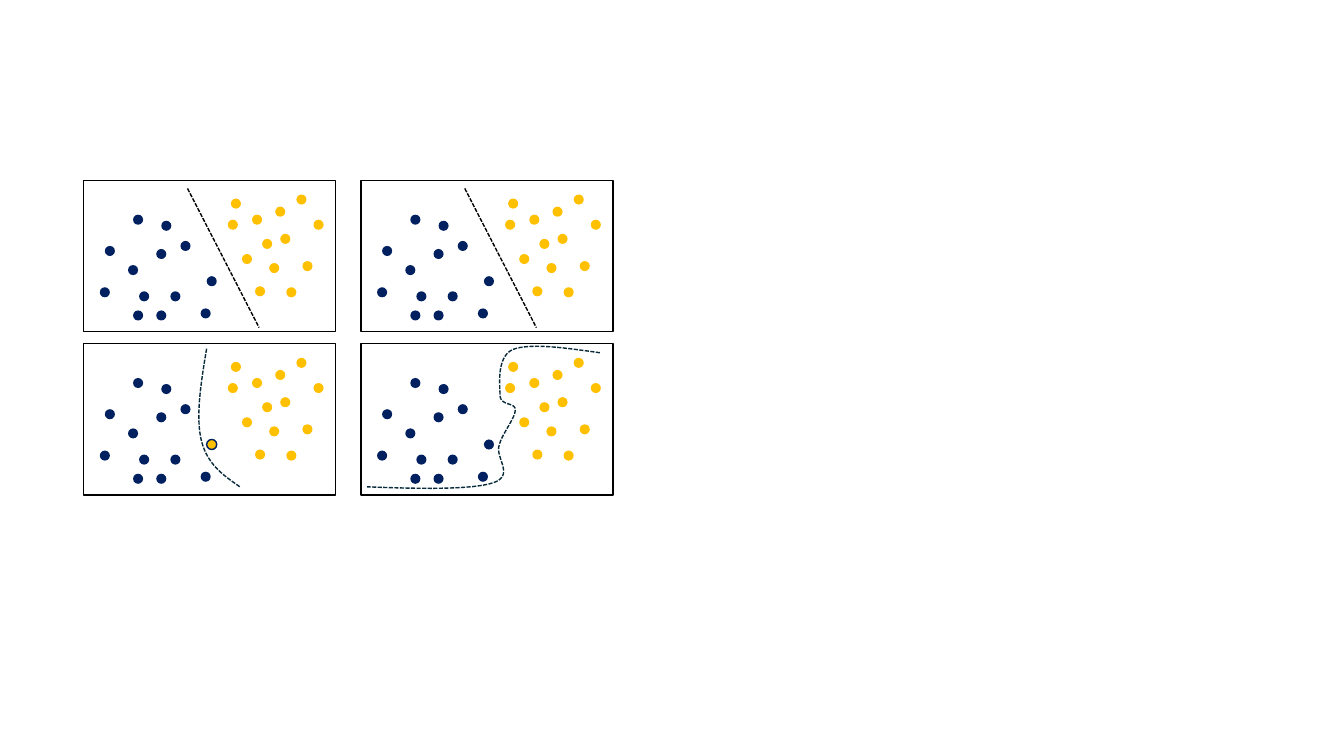
import pptx
import pptx.dml.color
import pptx.enum.dml
import pptx.enum.shapes
import pptx.oxml
import pptx.oxml.ns
import pptx.util

Inches = pptx.util.Inches
SHAPES = pptx.enum.shapes.MSO_SHAPE

NAVY, GOLD, BLACK, CURVE = "002060", "FFC000", "000000", "092A39"

# Panel grid
LEFT, TOP = 0.83, 1.79
STEP_X, STEP_Y = 2.75, 1.62
WIDTH, HEIGHT = 2.5, 1.5

# Dot corners, measured from the corner of a panel
OUTLIER = (1.22, 0.95)
NAVY_DOTS = [
    (0.44, 0.84), (0.77, 0.4), (0.49, 0.34), (0.72, 0.68), (0.21, 0.65),
    (0.16, 1.06), (0.55, 1.1), (0.49, 1.29), (0.86, 1.1), (0.96, 0.6),
    (0.72, 1.29), (1.16, 1.27), OUTLIER,
]
GOLD_DOTS = [
    (1.67, 0.34), (1.46, 0.18), (2.17, 0.8), (1.9, 0.26), (1.84, 0.82),
    (1.95, 0.53), (1.57, 0.73), (2.28, 0.39), (2.11, 0.14), (2.01, 1.06),
    (1.7, 1.05), (1.77, 0.58), (1.43, 0.39),
]

# Boundary curves: a start point, then three Bezier points per segment
OVERFIT = [
    (5.95, 3.5), (5.6, 3.45), (5.25, 3.4), (5.08, 3.47),
    (4.92, 3.55), (4.96, 3.83), (4.96, 3.93),
    (4.97, 4.03), (5.12, 3.99), (5.11, 4.07),
    (5.11, 4.15), (4.98, 4.3), (4.95, 4.42),
    (4.91, 4.54), (5.11, 4.72), (4.89, 4.79),
    (4.68, 4.86), (4.16, 4.85), (3.64, 4.83),
]
SMOOTH = [
    (2.05, 3.46), (1.99, 3.81), (1.94, 4.15), (2, 4.38),
    (2.06, 4.61), (2.22, 4.72), (2.38, 4.83),
]


def color(value):
    return pptx.dml.color.RGBColor.from_string(value)


def bezier_points(points, steps=16):
    """Sample a chain of cubic segments into a list of points."""
    samples = [points[0]]
    for first in range(0, len(points) - 1, 3):
        controls = points[first:first + 4]
        for step in range(1, steps + 1):
            t = step / steps
            weights = ((1 - t) ** 3, 3 * t * (1 - t) ** 2, 3 * t ** 2 * (1 - t), t ** 3)
            samples.append(tuple(
                sum(weight * point[axis] for weight, point in zip(weights, controls))
                for axis in (0, 1)))
    return samples


class Painter:
    line_width = pptx.util.Pt(1)
    dot_size = Inches(0.1)

    def __init__(self, page):
        self.page = page

    def style_line(self, line, value, dashed=False):
        line.color.rgb = color(value)
        line.width = self.line_width
        if dashed:
            line.dash_style = pptx.enum.dml.MSO_LINE.SQUARE_DOT

    def dot(self, x, y, fill, outline=None):
        dot = self.page.shapes.add_shape(
            SHAPES.OVAL, Inches(x), Inches(y), self.dot_size, self.dot_size)
        dot.shadow.inherit = False
        dot.fill.solid()
        dot.fill.fore_color.rgb = color(fill)
        if outline:
            self.style_line(dot.line, outline)
        else:
            dot.line.fill.background()

    def frame(self, x, y):
        frame = self.page.shapes.add_shape(
            SHAPES.RECTANGLE, Inches(x), Inches(y), Inches(WIDTH), Inches(HEIGHT))
        frame.shadow.inherit = False
        frame.fill.background()
        self.style_line(frame.line, BLACK)

    def straight(self, x1, y1, x2, y2):
        connector = self.page.shapes.add_connector(
            pptx.enum.shapes.MSO_CONNECTOR.STRAIGHT,
            Inches(x1), Inches(y1), Inches(x2), Inches(y2))
        self.style_line(connector.line, BLACK, dashed=True)
        properties = connector._element.spPr
        properties.append(pptx.oxml.parse_xml(
            "<a:effectLst %s/>" % pptx.oxml.ns.nsdecls("a")))

    def curve(self, points):
        start, *rest = [(Inches(x), Inches(y)) for x, y in bezier_points(points)]
        builder = self.page.shapes.build_freeform(*start)
        builder.add_line_segments(rest, close=False)
        curve = builder.convert_to_shape()
        curve.shadow.inherit = False
        curve.fill.background()
        self.style_line(curve.line, CURVE, dashed=True)


def main():
    deck = pptx.Presentation()
    deck.slide_width, deck.slide_height = Inches(13.33), Inches(7.5)
    painter = Painter(deck.slides.add_slide(deck.slide_layouts[6]))

    # Four panels with the same scatter
    for column in range(2):
        for row in range(2):
            x, y = LEFT + column * STEP_X, TOP + row * STEP_Y
            for dx, dy in NAVY_DOTS:
                if (dx, dy) == OUTLIER and (column, row) == (0, 1):
                    painter.dot(x + dx, y + dy, GOLD, NAVY)
                else:
                    painter.dot(x + dx, y + dy, NAVY)
            for dx, dy in GOLD_DOTS:
                painter.dot(x + dx, y + dy, GOLD)
            if row == 0:
                painter.straight(x + 1.03, y + 0.08, x + 1.74, y + 1.46)
            painter.frame(x, y)

    # Curved boundaries in the lower panels
    painter.curve(OVERFIT)
    painter.curve(SMOOTH)

    deck.save("out.pptx")


if __name__ == "__main__":
    main()
